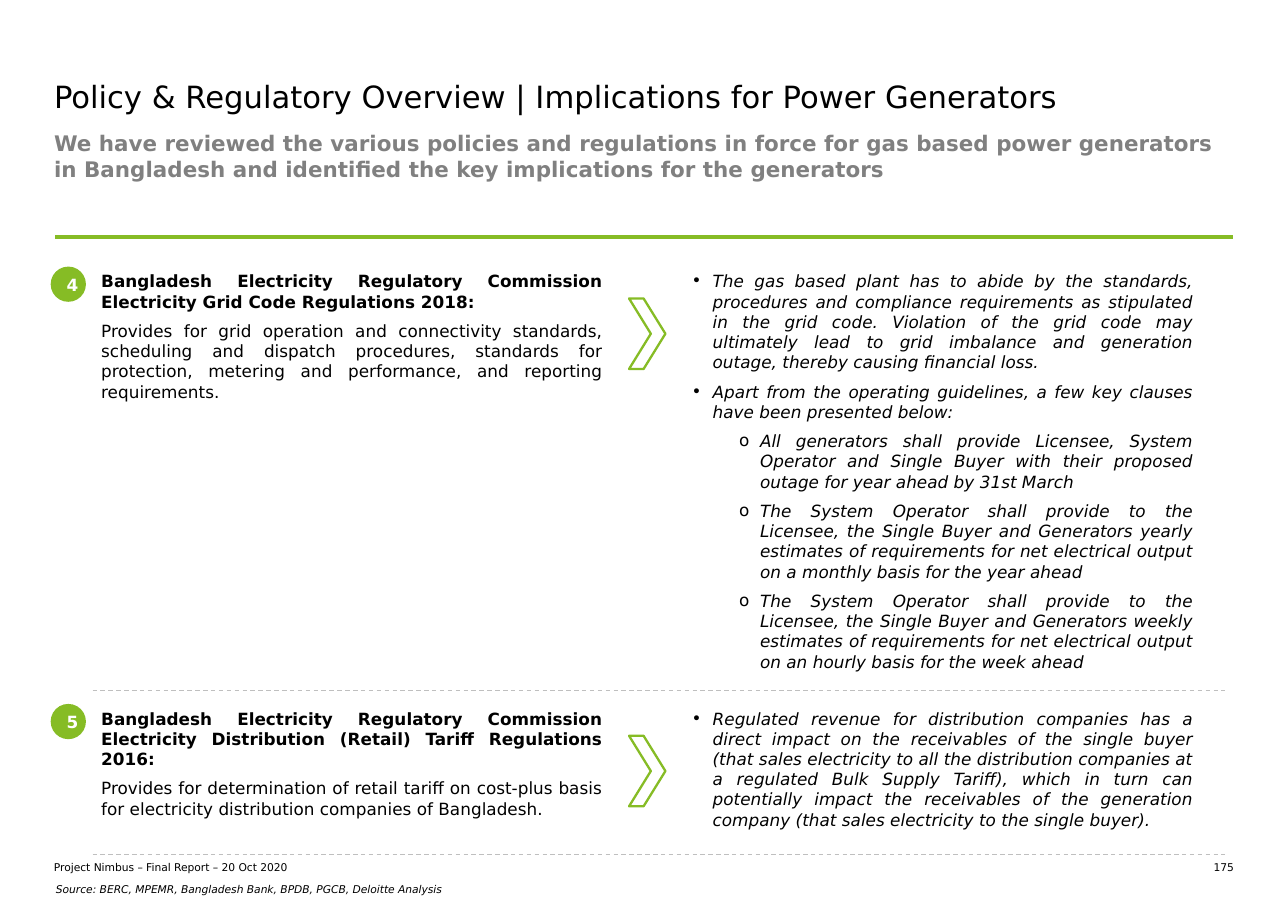
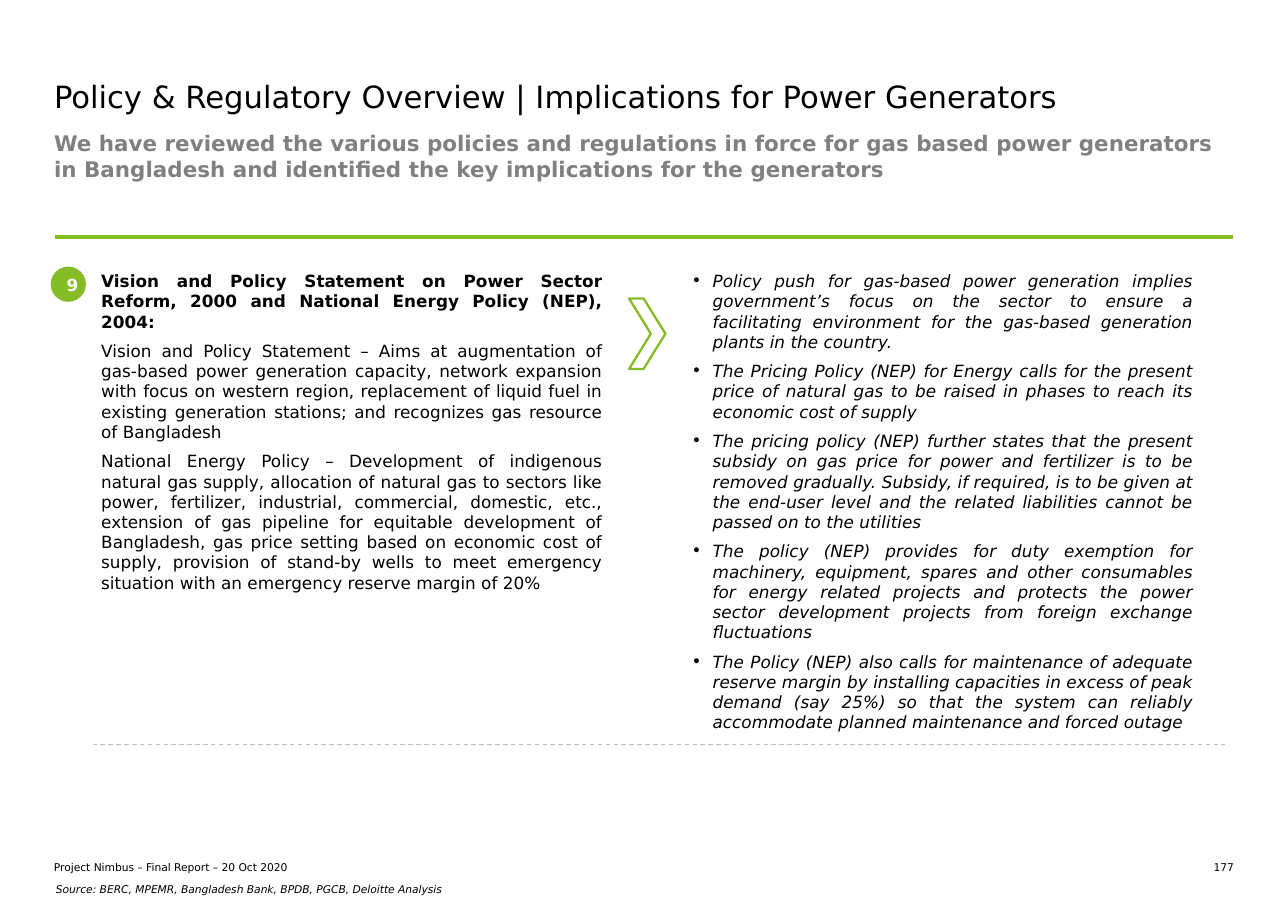
from dataclasses import dataclass

from lxml import etree
from pptx import Presentation
from pptx.dml.color import RGBColor
from pptx.enum.dml import MSO_LINE
from pptx.enum.shapes import MSO_CONNECTOR, MSO_SHAPE
from pptx.enum.text import MSO_ANCHOR, MSO_AUTO_SIZE, PP_ALIGN
from pptx.oxml.ns import qn
from pptx.util import Inches, Pt

LEFT, RIGHT, JUSTIFY, CENTER = PP_ALIGN.LEFT, PP_ALIGN.RIGHT, PP_ALIGN.JUSTIFY, PP_ALIGN.CENTER
TOP, MIDDLE, BOTTOM = MSO_ANCHOR.TOP, MSO_ANCHOR.MIDDLE, MSO_ANCHOR.BOTTOM
ELLIPSE, CHEVRON = MSO_SHAPE.OVAL, MSO_SHAPE.CHEVRON
STRAIGHT, DASH, NO_AUTOFIT = MSO_CONNECTOR.STRAIGHT, MSO_LINE.DASH, MSO_AUTO_SIZE.NONE
TITLE_ONLY = 5

FONT = "DejaVu Sans"
GREEN, GREY, SILVER, BLACK, WHITE = "86BC25", "808080", "BFBFBF", "000000", "FFFFFF"

MARGIN, CONTENT_WIDTH = 0.49, 10.71
CONTENT_RIGHT = MARGIN + CONTENT_WIDTH
ROWS_TOP, ROW_GAP = 2.36, 0.06
COLUMN_WIDTH = 4.75
PADDING = 0.1
HANGING = 0.19
BULLETS = (("•", 0.19), ("o", 0.62))  # character and left indent by level
BAND_BORDERS = (("lnL", WHITE, 1), ("lnR", WHITE, 1), ("lnT", GREEN, 3), ("lnB", WHITE, 3))

TITLE = "Policy & Regulatory Overview | Implications for Power Generators"
SUBTITLE = ("We have reviewed the various policies and regulations in force for gas based power "
            "generators in Bangladesh and identified the key implications for the generators")
FOOTER = "Project Nimbus – Final Report – 20 Oct 2020"
SOURCE = "Source: BERC, MPEMR, Bangladesh Bank, BPDB, PGCB, Deloitte Analysis"


@dataclass
class Policy:
    number: int
    height: float
    heading: str
    summary: list
    implications: list  # pairs of level and text


SLIDES = [
    (175, [
        Policy(
            4, 3.91,
            "Bangladesh Electricity Regulatory Commission Electricity Grid Code Regulations 2018:",
            ["Provides for grid operation and connectivity standards, scheduling and dispatch "
             "procedures, standards for protection, metering and performance, and reporting "
             "requirements."],
            [(0, "The gas based plant has to abide by the standards, procedures and compliance "
                 "requirements as stipulated in the grid code. Violation of the grid code may "
                 "ultimately lead to grid imbalance and generation outage, thereby causing "
                 "financial loss."),
             (0, "Apart from the operating guidelines, a few key clauses have been presented "
                 "below:"),
             (1, "All generators shall provide Licensee, System Operator and Single Buyer with "
                 "their proposed outage for year ahead by 31st March"),
             (1, "The System Operator shall provide to the Licensee, the Single Buyer and "
                 "Generators yearly estimates of requirements for net electrical output on a "
                 "monthly basis for the year ahead"),
             (1, "The System Operator shall provide to the Licensee, the Single Buyer and "
                 "Generators weekly estimates of requirements for net electrical output on an "
                 "hourly basis for the week ahead")]),
        Policy(
            5, 1.43,
            "Bangladesh Electricity Regulatory Commission Electricity Distribution (Retail) "
            "Tariff Regulations 2016:",
            ["Provides for determination of retail tariff on cost-plus basis for electricity "
             "distribution companies of Bangladesh."],
            [(0, "Regulated revenue for distribution companies has a direct impact on the "
                 "receivables of the single buyer (that sales electricity to all the "
                 "distribution companies at a regulated Bulk Supply Tariff), which in turn can "
                 "potentially impact the receivables of the generation company (that sales "
                 "electricity to the single buyer).")]),
    ]),
    (177, [
        Policy(
            9, 4.4,
            "Vision and Policy Statement on Power Sector Reform, 2000 and National Energy "
            "Policy (NEP), 2004:",
            ["Vision and Policy Statement – Aims at augmentation of gas-based power generation "
             "capacity, network expansion with focus on western region, replacement of liquid "
             "fuel in existing generation stations; and recognizes gas resource of Bangladesh",
             "National Energy Policy – Development of indigenous natural gas supply, allocation "
             "of natural gas to sectors like power, fertilizer, industrial, commercial, "
             "domestic, etc., extension of gas pipeline for equitable development of "
             "Bangladesh, gas price setting based on economic cost of supply, provision of "
             "stand-by wells to meet emergency situation with an emergency reserve margin of "
             "20%"],
            [(0, "Policy push for gas-based power generation implies government’s focus on the "
                 "sector to ensure a facilitating environment for the gas-based generation "
                 "plants in the country."),
             (0, "The Pricing Policy (NEP) for Energy calls for the present price of natural "
                 "gas to be raised in phases to reach its economic cost of supply"),
             (0, "The pricing policy (NEP) further states that the present subsidy on gas price "
                 "for power and fertilizer is to be removed gradually. Subsidy, if required, is "
                 "to be given at the end-user level and the related liabilities cannot be "
                 "passed on to the utilities"),
             (0, "The policy (NEP) provides for duty exemption for machinery, equipment, spares "
                 "and other consumables for energy related projects and protects the power "
                 "sector development projects from foreign exchange fluctuations"),
             (0, "The Policy (NEP) also calls for maintenance of adequate reserve margin by "
                 "installing capacities in excess of peak demand (say 25%) so that the system "
                 "can reliably accommodate planned maintenance and forced outage")]),
    ]),
]


def rgb(color):
    return RGBColor.from_string(color)


def set_frame(shape, padding=0.0, anchor=TOP):
    frame = shape.text_frame
    frame.word_wrap = True
    frame.auto_size = NO_AUTOFIT
    frame.vertical_anchor = anchor
    frame.margin_left = frame.margin_right = Inches(padding)
    frame.margin_top = frame.margin_bottom = Inches(padding)
    return frame


def add_text_box(slide, left, top, width, height, padding=0.0, anchor=TOP):
    box = slide.shapes.add_textbox(Inches(left), Inches(top), Inches(width), Inches(height))
    return set_frame(box, padding, anchor)


def add_para(frame, text, size, color=BLACK, bold=False, italic=False, align=LEFT, after=0):
    """Fill the empty first paragraph, or append a new one."""
    para = frame.paragraphs[0]
    if para.runs:
        para = frame.add_paragraph()
    para.alignment = align
    para.space_after = Pt(after)
    span = para.add_run()
    span.text = text
    font = span.font
    font.name, font.size, font.bold, font.italic = FONT, Pt(size), bold, italic
    font.color.rgb = rgb(color)
    return para


def set_bullet(para, level):
    character, indent = BULLETS[level]
    para.level = level
    props = para._p.get_or_add_pPr()
    props.set("marL", str(Inches(indent)))
    props.set("indent", str(-Inches(HANGING)))
    etree.SubElement(props, qn("a:buFont"), typeface=FONT)
    etree.SubElement(props, qn("a:buChar"), char=character)


def add_divider(slide, left, right, top):
    divider = slide.shapes.add_connector(
        STRAIGHT, Inches(left), Inches(top), Inches(right), Inches(top))
    divider.line.color.rgb = rgb(SILVER)
    divider.line.width = Pt(0.75)
    divider.line.dash_style = DASH
    etree.SubElement(divider._element.spPr, qn("a:effectLst"))


def add_band(slide, left, top, width, height):
    """One-cell table whose top border is the green rule."""
    table = slide.shapes.add_table(
        1, 1, Inches(left), Inches(top), Inches(width), Inches(height)).table
    table.first_row = table.horz_banding = False
    cell = table.cell(0, 0)
    cell.margin_left = cell.margin_right = cell.margin_top = cell.margin_bottom = 0
    props = cell._tc.get_or_add_tcPr()
    for side, color, weight in BAND_BORDERS:
        border = etree.SubElement(props, qn(f"a:{side}"), w=str(Pt(weight)))
        fill = etree.SubElement(border, qn("a:solidFill"))
        etree.SubElement(fill, qn("a:srgbClr"), val=color)
    cell.fill.background()


def add_preset(slide, kind, left, top, width, height, fill, line=None):
    shape = slide.shapes.add_shape(
        kind, Inches(left), Inches(top), Inches(width), Inches(height))
    shape.shadow.inherit = False
    shape.fill.solid()
    shape.fill.fore_color.rgb = rgb(fill)
    if line:
        shape.line.color.rgb = rgb(line)
        shape.line.width = Pt(1.5)
    else:
        shape.line.fill.background()
    return shape


def add_header(slide):
    title = slide.shapes.title
    title.left, title.top = Inches(MARGIN), Inches(0.71)
    title.width, title.height = Inches(CONTENT_WIDTH), Inches(0.47)
    add_para(set_frame(title), TITLE, 20)
    subtitle = add_text_box(slide, MARGIN, 1.18, CONTENT_WIDTH, 0.57)
    add_para(subtitle, SUBTITLE, 14, GREY, bold=True)
    add_band(slide, MARGIN, 2.15, CONTENT_WIDTH, 0.33)


def add_footer(slide, page_number):
    add_para(add_text_box(slide, MARGIN, 7.81, 4.83, 0.12, anchor=BOTTOM), FOOTER, 7)
    number = add_text_box(slide, CONTENT_RIGHT - 0.45, 7.81, 0.45, 0.12)
    add_para(number, str(page_number), 7, align=RIGHT)
    source = add_text_box(slide, 0.41, 7.94, 10.87, 0.25, PADDING, MIDDLE)
    add_para(source, SOURCE, 7, italic=True).line_spacing = 1.06


def add_policy_row(slide, top, policy):
    """Numbered policy on the left, its implications on the right, divider below."""
    add_divider(slide, 0.84, 11.12, top + policy.height)

    badge = add_preset(slide, ELLIPSE, 0.46, top + 0.06, 0.32, 0.32, GREEN)
    number = add_para(set_frame(badge, PADDING, MIDDLE), str(policy.number), 11, WHITE,
                      bold=True, align=CENTER)
    number.line_spacing = 1.06

    summary = add_text_box(slide, 0.82, top, COLUMN_WIDTH, policy.height, PADDING)
    add_para(summary, policy.heading, 11, bold=True, align=JUSTIFY, after=6)
    for text in policy.summary:
        add_para(summary, text, 11, align=JUSTIFY, after=6)

    arrow = add_preset(slide, CHEVRON, 5.71, top + 0.35, 0.33, 0.64, WHITE, GREEN)
    arrow.adjustments[0] = 0.6

    implications = add_text_box(slide, 6.18, top, COLUMN_WIDTH, policy.height, PADDING)
    for level, text in policy.implications:
        para = add_para(implications, text, 11, italic=True, align=JUSTIFY, after=6)
        set_bullet(para, level)


def add_policy_slide(deck, page_number, policies):
    slide = deck.slides.add_slide(deck.slide_layouts[TITLE_ONLY])
    add_header(slide)
    top = ROWS_TOP
    for policy in policies:
        add_policy_row(slide, top, policy)
        top += policy.height + ROW_GAP
    add_footer(slide, page_number)


def main():
    deck = Presentation()
    deck.slide_width, deck.slide_height = Inches(11.69), Inches(8.27)
    for page_number, policies in SLIDES:
        add_policy_slide(deck, page_number, policies)
    deck.save("out.pptx")


if __name__ == "__main__":
    main()
